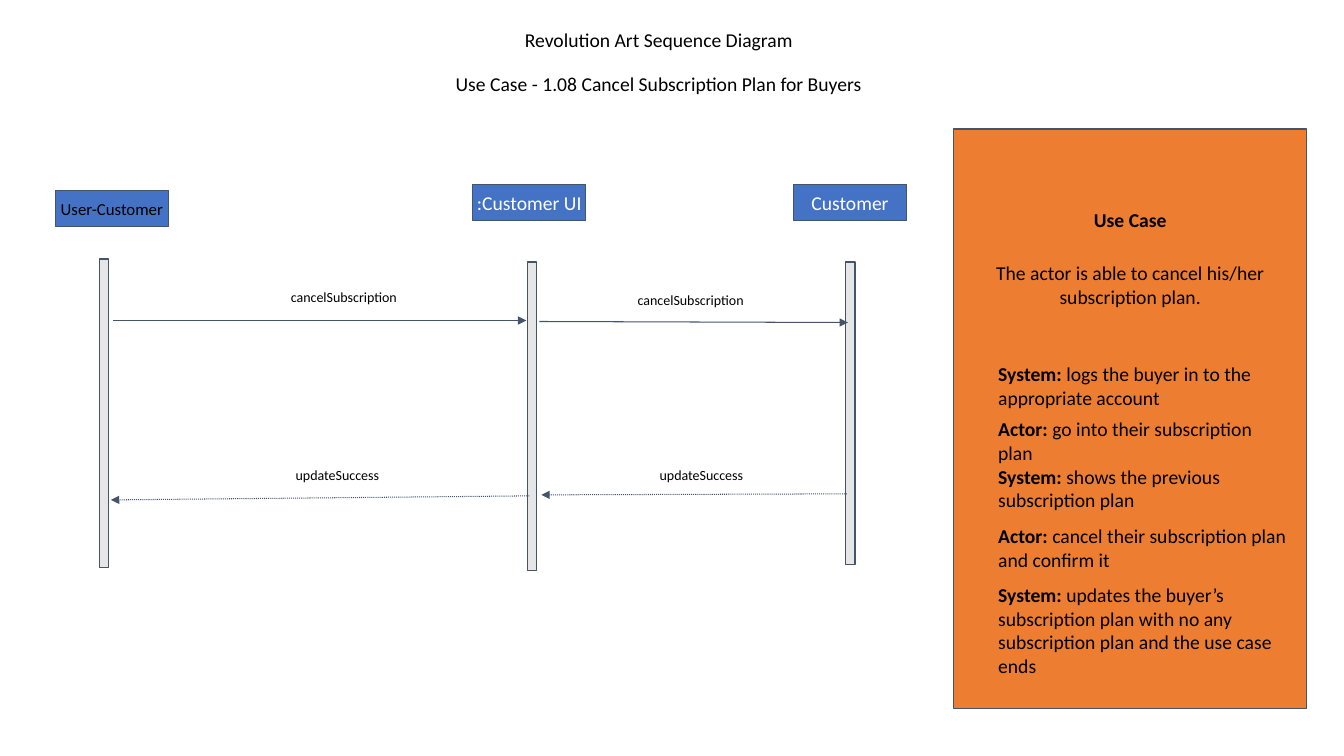
from dataclasses import dataclass

from lxml import etree
from pptx import Presentation
from pptx import util as u
from pptx.dml.color import RGBColor
from pptx.enum import dml, shapes, text
from pptx.oxml.ns import qn


@dataclass(frozen=True)
class Theme:
    font: str = "Calibri"
    black: str = "000000"
    white: str = "FFFFFF"
    blue: str = "4472C4"
    grey: str = "E7E6E6"
    orange: str = "ED7D31"
    outline: str = "44546A"
    body: float = 14
    actor: float = 12
    label: float = 10
    line: float = 0.75
    inset: float = 0.1


@dataclass(frozen=True)
class Box:
    x: int
    y: int
    w: int
    h: int

    def point(self, px, py):
        """Point at percentages of this box."""
        return int(self.x + self.w * px / 100), int(self.y + self.h * py / 100)

    def area(self, px, py, pw, ph):
        """Smaller box, given in percentages of this one."""
        return Box(*self.point(px, py), int(self.w * pw / 100), int(self.h * ph / 100))

    def args(self):
        return self.x, self.y, self.w, self.h


T = Theme()
CENTER, LEFT = text.PP_ALIGN.CENTER, text.PP_ALIGN.LEFT

# name, left, top, text size, text colour; then bar left, top, height
LIFELINES = [
    ("User-Customer", 0.59, 3.5, T.actor, T.black, 5.76, 20.5, 76.5),
    (":Customer UI", 49.29, 2, T.body, T.white, 55.65, 21.25, 76.5),
    ("Customer", 86.71, 2, T.body, T.white, 92.82, 21.25, 75),
]
# label, label left and top, arrow start, arrow end, dotted
MESSAGES = [
    ("cancelSubscription", (23.47, 25.25), (7.29, 35.75), (55.53, 35.75), False),
    ("cancelSubscription", (63.94, 26), (57.06, 36), (93.06, 36.25), False),
    ("updateSuccess", (65.18, 69.5), (92.94, 78.75), (57.29, 79), True),
    ("updateSuccess", (22.71, 69.5), (55.88, 79.25), (7.06, 80.25), True),
]
# speaker, step, space before
STEPS = [
    ("System: ", "logs the buyer in to the appropriate account", 0),
    ("Actor: ", "go into their subscription plan", 6),
    ("System: ", "shows the previous subscription plan", 0),
    ("Actor: ", "cancel their subscription plan and confirm it", 9),
    ("System: ", "updates the buyer’s subscription plan with no any "
                 "subscription plan and the use case ends", 8.5),
]


def set_frame(tf, inset=T.inset, anchor=text.MSO_ANCHOR.TOP):
    tf.word_wrap = True
    tf.auto_size = text.MSO_AUTO_SIZE.NONE
    tf.vertical_anchor = anchor
    tf.margin_left = tf.margin_right = u.Inches(inset)
    tf.margin_top = tf.margin_bottom = u.Inches(inset)


def add_run(p, words, size=T.body, color=T.black, bold=False):
    r = p.add_run()
    r.text = words
    r.font.name, r.font.size, r.font.bold = T.font, u.Pt(size), bold
    r.font.color.rgb = RGBColor.from_string(color)


def add_paragraph(tf, index, align, before=0):
    p = tf.add_paragraph() if index else tf.paragraphs[0]
    p.alignment, p.space_before = align, u.Pt(before)
    return p


def place(sp, box):
    sp.left, sp.top, sp.width, sp.height = box.args()


def add_rect(s, box, fill):
    sp = s.shapes.add_shape(shapes.MSO_SHAPE.RECTANGLE, *box.args())
    sp.shadow.inherit = False
    sp.fill.solid()
    sp.fill.fore_color.rgb = RGBColor.from_string(fill)
    sp.line.color.rgb = RGBColor.from_string(T.outline)
    sp.line.width = u.Pt(T.line)
    return sp


def add_label(s, box, words, **style):
    tf = s.shapes.add_textbox(*box.args()).text_frame
    set_frame(tf)
    add_run(add_paragraph(tf, 0, CENTER), words, **style)


def add_arrow(s, start, end, dotted):
    cn = s.shapes.add_connector(shapes.MSO_CONNECTOR.STRAIGHT, *start, *end)
    cn.line.color.rgb = RGBColor.from_string(T.outline)
    cn.line.width = u.Pt(T.line)
    if dotted:
        cn.line.dash_style = dml.MSO_LINE.ROUND_DOT
    spPr = cn._element.spPr
    etree.SubElement(spPr.find(qn("a:ln")), qn("a:tailEnd"), type="triangle")
    etree.SubElement(spPr, qn("a:effectLst"))


def draw_title(s, box):
    sp = s.shapes.title
    place(sp, box)
    set_frame(sp.text_frame)
    lines = ["Revolution Art Sequence Diagram",
             "Use Case - 1.08 Cancel Subscription Plan for Buyers"]
    for i, line in enumerate(lines):
        add_run(add_paragraph(sp.text_frame, i, CENTER, 14.5 * i), line)


def draw_sequence(s, box):
    # Participants and their activation bars
    for name, x, y, size, color, bar_x, bar_y, bar_h in LIFELINES:
        tf = add_rect(s, box.area(x, y, 13.18, 9), T.blue).text_frame
        set_frame(tf, 0, text.MSO_ANCHOR.MIDDLE)
        add_run(add_paragraph(tf, 0, CENTER), name, size, color)
        add_rect(s, box.area(bar_x, bar_y, 1.06, bar_h), T.grey)
    # Messages between them
    for name, corner, start, end, dotted in MESSAGES:
        add_arrow(s, box.point(*start), box.point(*end), dotted)
        add_label(s, box.area(*corner, 21.53, 9.25), name, size=T.label)


def draw_use_case(s, box):
    # Panel with heading and summary
    add_rect(s, box, T.orange)
    add_label(s, box.area(0, 11.83, 100, 7.65), "Use Case", bold=True)
    add_label(s, box.area(0, 21.04, 100, 11.65),
              "The actor is able to cancel his/her subscription plan.")
    # Steps, brought in front of the panel
    body = s.placeholders[1]
    body._element.getparent().append(body._element)
    place(body, box.area(9.71, 38.43, 87.43, 58.43))
    set_frame(body.text_frame)
    for i, (speaker, step, before) in enumerate(STEPS):
        p = add_paragraph(body.text_frame, i, LEFT, before)
        pPr = p._p.get_or_add_pPr()
        pPr.set("marL", "0")
        pPr.set("indent", "0")
        etree.SubElement(pPr, qn("a:buNone"))
        add_run(p, speaker, bold=True)
        add_run(p, step)


def main():
    prs = Presentation()
    prs.slide_width, prs.slide_height = u.Inches(13.33), u.Inches(7.5)
    s = prs.slides.add_slide(prs.slide_layouts[1])
    page = Box(0, 0, prs.slide_width, prs.slide_height)
    draw_title(s, page.area(27.68, 2.4, 42.69, 11.73))
    draw_sequence(s, page.area(3.75, 23.33, 63.77, 53.33))
    draw_use_case(s, page.area(70.97, 17.07, 26.26, 76.67))
    prs.save("out.pptx")


if __name__ == "__main__":
    main()
